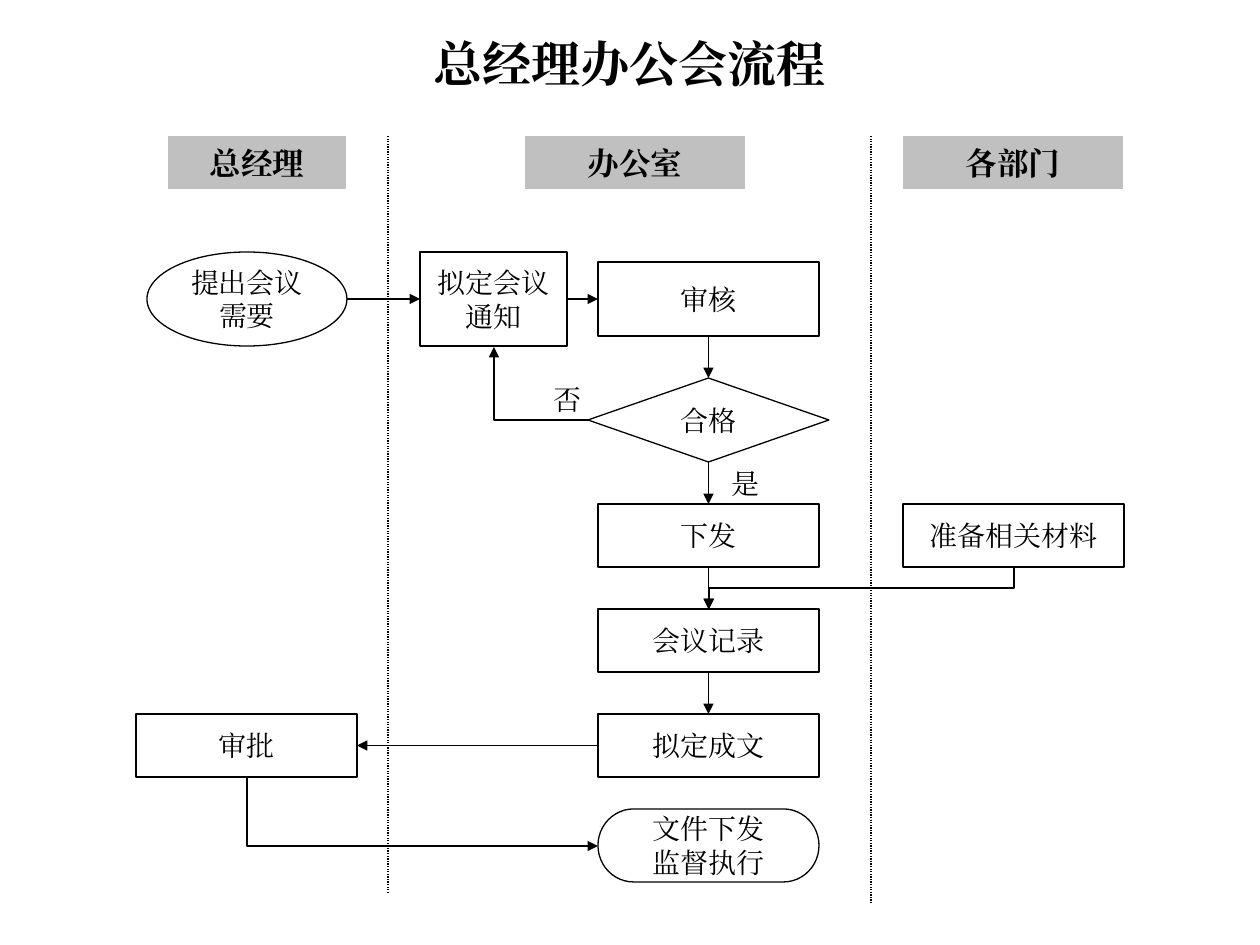
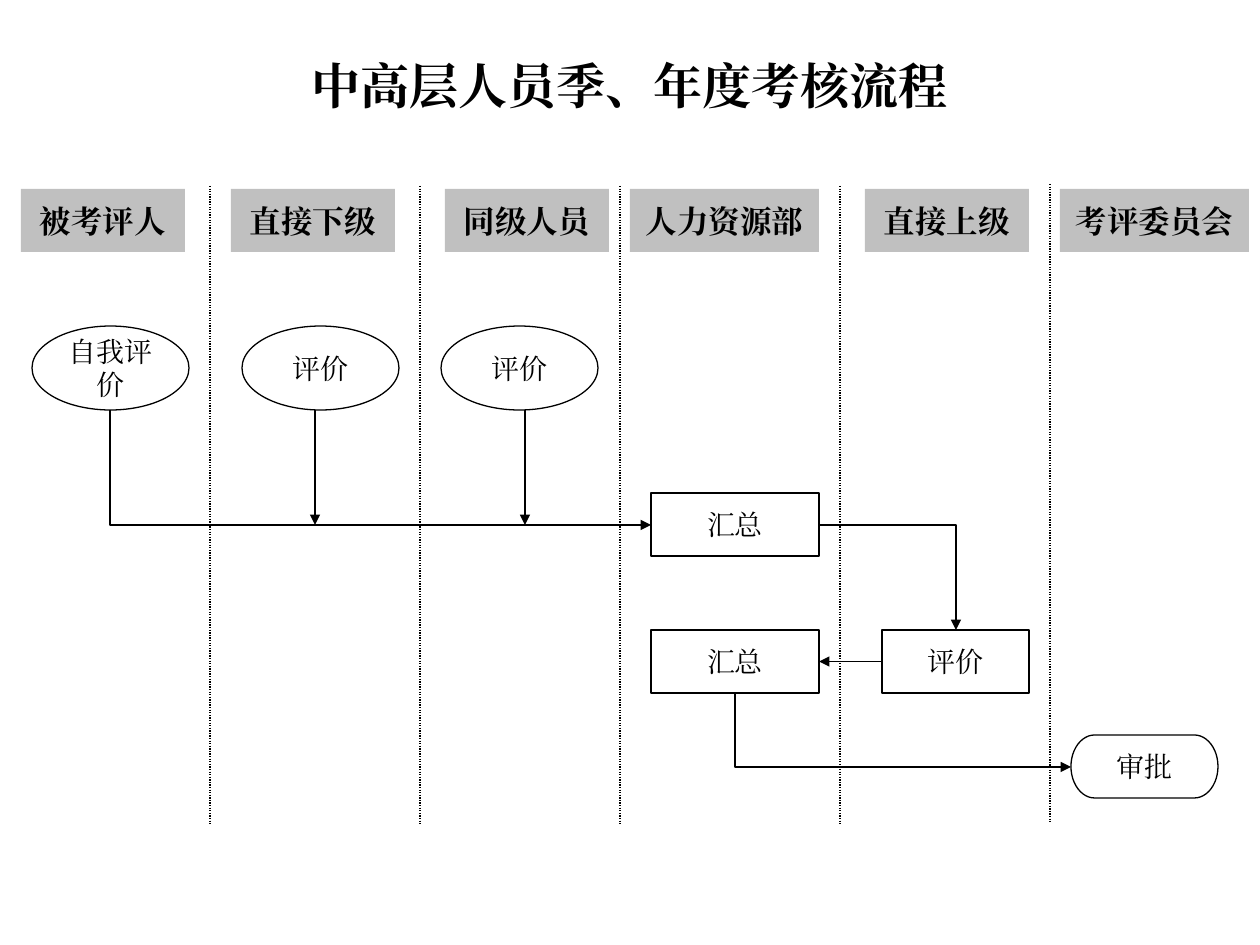
import pptx
import pptx.dml.color
import pptx.enum.dml
import pptx.enum.lang
import pptx.enum.shapes
import pptx.enum.text
import pptx.oxml.ns
import pptx.util
from lxml import etree

SCALE = 914400 / 126
FONT = "Times New Roman"
COLORS = {"ink": "000000", "band": "C0C0C0"}
INK = pptx.dml.color.RGBColor.from_string(COLORS["ink"])
BAND = pptx.dml.color.RGBColor.from_string(COLORS["band"])
CHINESE = pptx.enum.lang.MSO_LANGUAGE_ID.SIMPLIFIED_CHINESE
KINDS = pptx.enum.shapes.MSO_SHAPE
LINES = pptx.enum.shapes.MSO_CONNECTOR
TOP, LEFT, BOTTOM, RIGHT = range(4)
FORMATS = {
    "title": {"size": pptx.util.Pt(28), "bold": True},
    "band": {"size": pptx.util.Pt(18), "bold": True},
    "node": {"size": pptx.util.Pt(16), "bold": False},
    "label": {"size": pptx.util.Pt(16), "bold": False},
}
FRAME = {"word_wrap": True, "vertical_anchor": pptx.enum.text.MSO_ANCHOR.MIDDLE}


def add_text_shape(slide, role, kind, box, text):
    lengths = [round(value * SCALE) for value in box]
    if kind is None:
        shape = slide.shapes.add_textbox(*lengths)
    else:
        shape = slide.shapes.add_shape(kind, *lengths)
        shape.shadow.inherit = False
        if role == "band":
            shape.fill.solid()
            shape.fill.fore_color.rgb = BAND
            shape.line.fill.background()
        else:
            shape.fill.background()
            shape.line.color.rgb = INK
            shape.line.width = pptx.util.Pt(0.75)
    frame = shape.text_frame
    for name, value in FRAME.items():
        setattr(frame, name, value)
    frame.text = text
    for paragraph in frame.paragraphs:
        paragraph.alignment = pptx.enum.text.PP_ALIGN.CENTER
        for run in paragraph.runs:
            for name, value in {**FORMATS[role], "name": FONT, "language_id": CHINESE}.items():
                setattr(run.font, name, value)
            run.font.color.rgb = INK
            east_asian = etree.SubElement(run._r.get_or_add_rPr(), pptx.oxml.ns.qn("a:ea"))
            east_asian.set("typeface", FONT)
    return shape


def add_line(slide, begin, end, dotted=False, preset=None, turn=0, flip=False):
    (x1, y1), (x2, y2) = begin, end
    if preset:
        middle_x, middle_y = (x1 + x2) / 2, (y1 + y2) / 2
        half_width, half_height = abs(x2 - x1) / 2, abs(y2 - y1) / 2
        if turn in (90, 270):
            half_width, half_height = half_height, half_width
        x1, x2 = middle_x - half_width, middle_x + half_width
        y1, y2 = middle_y - half_height, middle_y + half_height
    line_kind = LINES.ELBOW if preset else LINES.STRAIGHT
    lengths = [round(value * SCALE) for value in (x1, y1, x2, y2)]
    connector = slide.shapes.add_connector(line_kind, *lengths)
    properties = connector._element.spPr
    if preset:
        properties.find(pptx.oxml.ns.qn("a:prstGeom")).set("prst", preset)
        transform = properties.find(pptx.oxml.ns.qn("a:xfrm"))
        transform.set("rot", str(turn * 60000))
        if flip:
            transform.set("flipH", "1")
    connector.line.color.rgb = INK
    connector.line.width = pptx.util.Pt(0.75)
    if dotted:
        connector.line.dash_style = pptx.enum.dml.MSO_LINE.ROUND_DOT
    else:
        outline = properties.find(pptx.oxml.ns.qn("a:ln"))
        etree.SubElement(outline, pptx.oxml.ns.qn("a:tailEnd")).set("type", "triangle")
    etree.SubElement(properties, pptx.oxml.ns.qn("a:effectLst"))
    return connector


PROCESS = KINDS.FLOWCHART_PROCESS
TERMINATOR = KINDS.FLOWCHART_TERMINATOR
OVAL = KINDS.OVAL
BOX = KINDS.RECTANGLE

flows = [
    {
        "title": ("总经理办公会流程", (94, 0, 1071, 126)),
        "band_kind": PROCESS,
        "band_top": 136,
        "band_height": 53,
        "bands": [("总经理", 168, 178), ("办公室", 525, 220), ("各部门", 903, 220)],
        "dividers": [(388, 136, 892), (871, 136, 903)],
        "nodes": {
            "need": (OVAL, (147, 252, 200, 94), "提出会议需要"),
            "notice": (PROCESS, (420, 252, 147, 94), "拟定会议通知"),
            "review": (PROCESS, (598, 262, 221, 74), "审核"),
            "qualified": (KINDS.FLOWCHART_DECISION, (588, 378, 241, 84), "合格"),
            "issue": (PROCESS, (598, 504, 221, 63), "下发"),
            "minutes": (PROCESS, (598, 609, 221, 63), "会议记录"),
            "draft": (PROCESS, (598, 714, 221, 63), "拟定成文"),
            "approval": (PROCESS, (136, 714, 221, 63), "审批"),
            "execution": (TERMINATOR, (598, 809, 221, 73), "文件下发\n监督执行"),
            "materials": (PROCESS, (903, 504, 221, 63), "准备相关材料"),
        },
        "labels": [("否", 536, 368), ("是", 714, 452)],
        "joined": [
            ("notice", RIGHT, "review", LEFT),
            ("review", BOTTOM, "qualified", TOP),
            ("qualified", BOTTOM, "issue", TOP),
            ("issue", BOTTOM, "minutes", TOP),
            ("minutes", BOTTOM, "draft", TOP),
            ("draft", LEFT, "approval", RIGHT),
        ],
        "from_point": [((347, 299), "notice", LEFT)],
        "free": [],
        "bent": [
            ((588, 420), (494, 347), "bentConnector2", 180, False),
            ((247, 777), (598, 846), "bentConnector2", 270, True),
            ((1014, 567), (709, 609), "bentConnector3", 90, False),
        ],
    },
    {
        "title": ("中高层人员季、年度考核流程", (94, 53, 1071, 63)),
        "band_kind": BOX,
        "band_top": 189,
        "band_height": 63,
        "bands": [
            ("被考评人", 21, 164),
            ("直接下级", 231, 164),
            ("同级人员", 445, 164),
            ("人力资源部", 630, 189),
            ("直接上级", 865, 164),
            ("考评委员会", 1060, 189),
        ],
        "dividers": [(x, 186, 824) for x in (210, 420, 620, 840)] + [(1050, 184, 822)],
        "nodes": {
            "self_rating": (OVAL, (32, 326, 157, 84), "自我评价"),
            "junior_rating": (OVAL, (242, 326, 157, 84), "评价"),
            "peer_rating": (OVAL, (441, 326, 157, 84), "评价"),
            "first_summary": (BOX, (651, 493, 168, 63), "汇总"),
            "second_summary": (BOX, (651, 630, 168, 63), "汇总"),
            "senior_rating": (BOX, (882, 630, 147, 63), "评价"),
            "approval": (TERMINATOR, (1071, 735, 147, 63), "审批"),
        },
        "labels": [],
        "joined": [("senior_rating", LEFT, "second_summary", RIGHT)],
        "from_point": [],
        "free": [((x, 410), (x, 525)) for x in (315, 525)],
        "bent": [
            ((819, 525), (956, 630), "bentConnector2", 0, False),
            ((735, 693), (1071, 767), "bentConnector2", 270, True),
            ((110, 410), (651, 525), "bentConnector2", 270, True),
        ],
    },
]

presentation = pptx.Presentation()
presentation.slide_width = round(1260 * SCALE)
presentation.slide_height = round(945 * SCALE)

for flow in flows:
    slide = presentation.slides.add_slide(presentation.slide_layouts[6])
    title, title_box = flow["title"]
    add_text_shape(slide, "title", None, title_box, title)
    for text, left, width in flow["bands"]:
        band_box = (left, flow["band_top"], width, flow["band_height"])
        add_text_shape(slide, "band", flow["band_kind"], band_box, text)
    for x, top, bottom in flow["dividers"]:
        add_line(slide, (x, top), (x, bottom), dotted=True)
    nodes = {}
    for name, (kind, box, text) in flow["nodes"].items():
        nodes[name] = add_text_shape(slide, "node", kind, box, text)
    for text, left, top in flow["labels"]:
        add_text_shape(slide, "label", None, (left, top, 63, 63), text)
    for source, source_side, target, target_side in flow["joined"]:
        connector = add_line(slide, (0, 0), (0, 0))
        connector.begin_connect(nodes[source], source_side)
        connector.end_connect(nodes[target], target_side)
    for begin, target, target_side in flow["from_point"]:
        connector = add_line(slide, begin, begin)
        connector.end_connect(nodes[target], target_side)
    for begin, end in flow["free"]:
        add_line(slide, begin, end)
    for begin, end, preset, turn, flip in flow["bent"]:
        add_line(slide, begin, end, preset=preset, turn=turn, flip=flip)

presentation.save("out.pptx")
